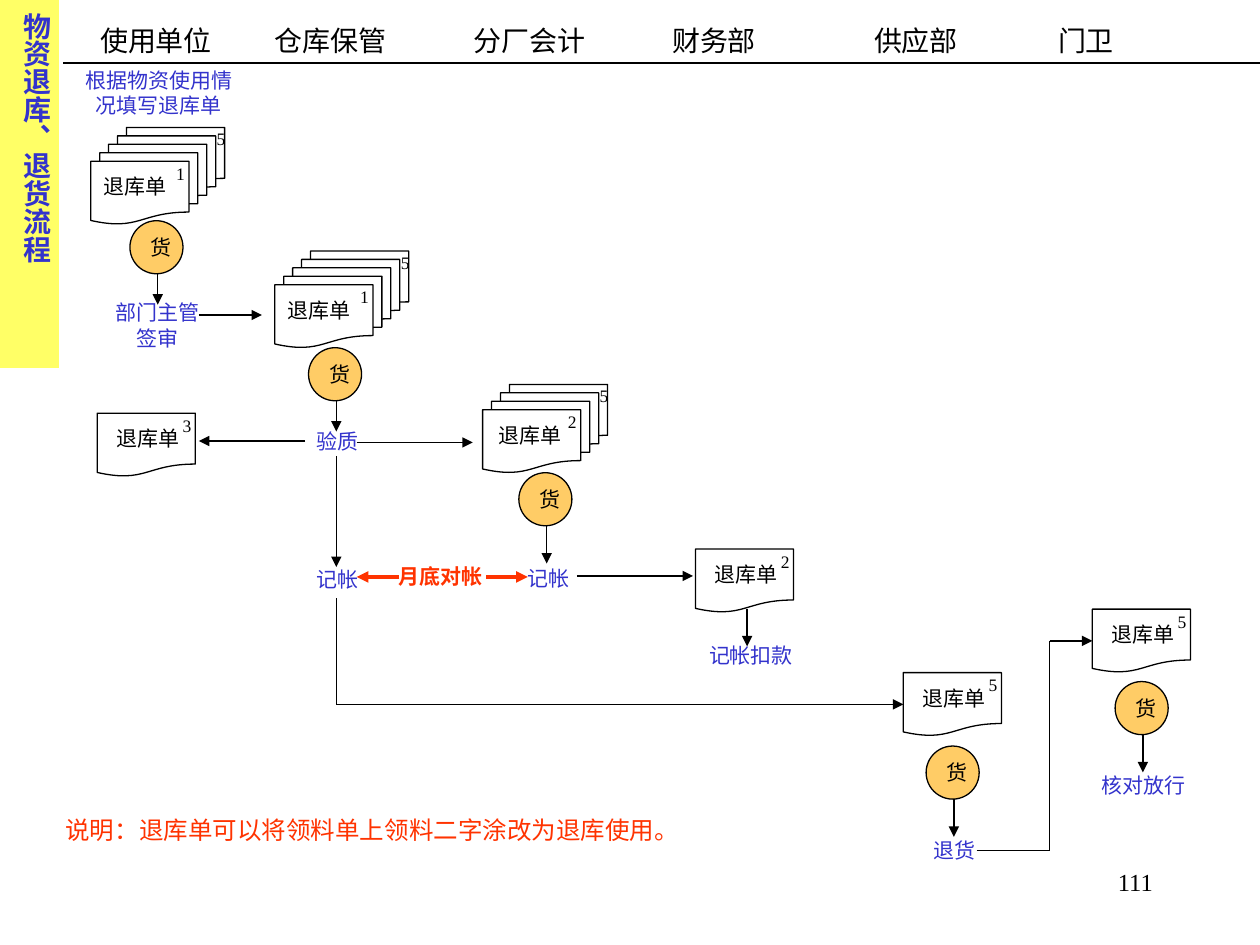
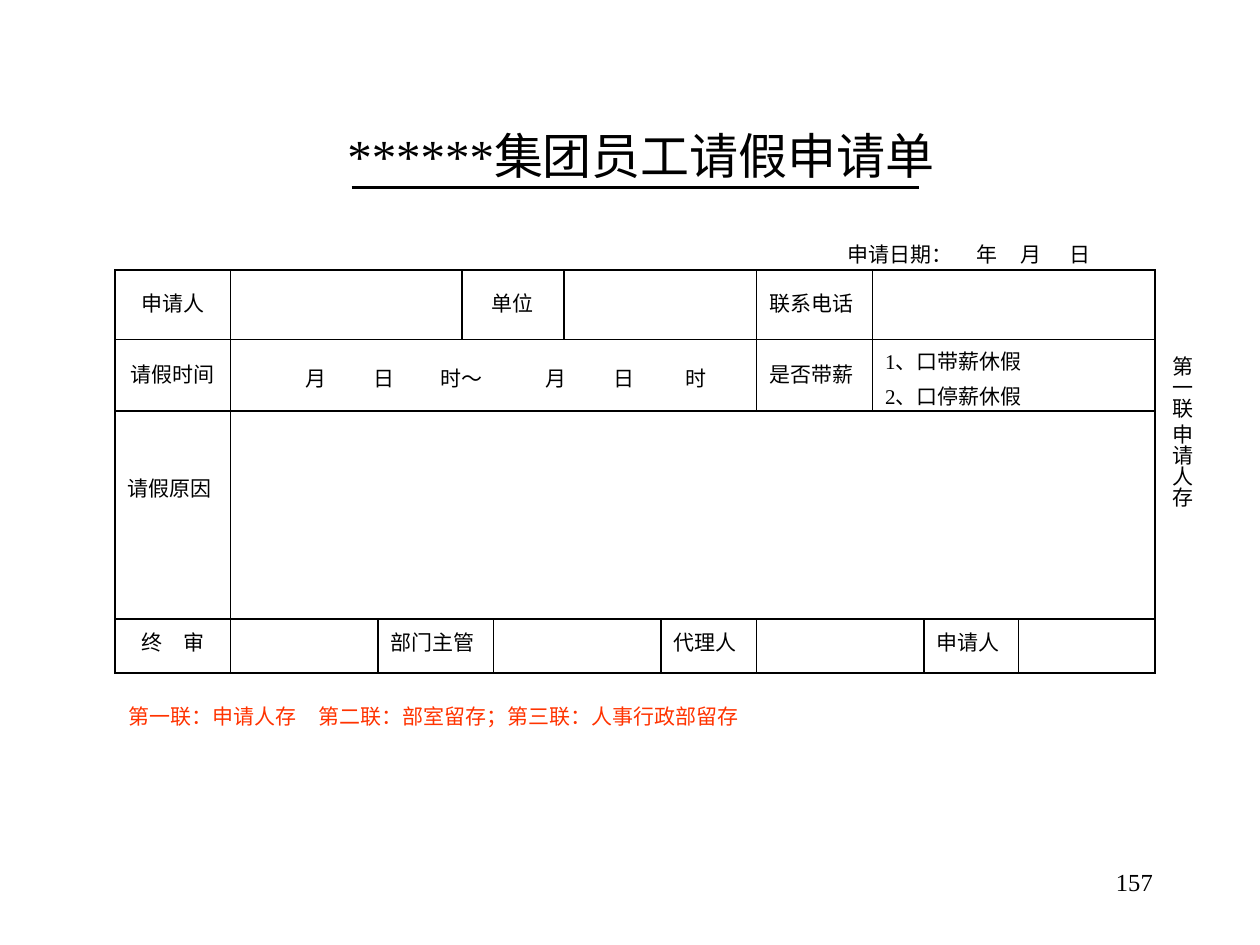
from dataclasses import dataclass
from itertools import pairwise
from typing import NamedTuple

from lxml.etree import SubElement
from pptx import Presentation
from pptx.dml.color import RGBColor
from pptx.enum.shapes import MSO_CONNECTOR, MSO_SHAPE
from pptx.enum.text import MSO_ANCHOR, PP_ALIGN
from pptx.oxml.ns import qn
from pptx.util import Cm, Pt


@dataclass(frozen=True)
class Theme:
    font: str = "Times New Roman"
    black: str = "000000"
    white: str = "FFFFFF"
    blue: str = "3333CC"
    red: str = "FF3300"
    yellow: str = "FFFF66"
    orange: str = "FFCC66"
    tiny: int = 10
    body: int = 12
    note: int = 14
    heading: int = 16
    title: int = 28
    thin: float = 0.75
    border: float = 1
    rule: float = 1.5
    thick: float = 2.25


T = Theme()
LEFT, CENTER, RIGHT = PP_ALIGN.LEFT, PP_ALIGN.CENTER, PP_ALIGN.RIGHT


class Form(NamedTuple):
    """A stack of return slips; x and y place the front one, in cm."""
    x: float
    y: float
    number: str
    copies: int = 1
    label_dx: float = 0.14


class Goods(NamedTuple):
    x: float
    y: float
    arrow: float = 0.76


class Step(NamedTuple):
    x: float
    y: float
    text: str
    width: float = 2.54


class Route(NamedTuple):
    """Straight segments through the points, ending at a form's left side if one is given."""
    points: tuple
    target: Form | None = None
    color: str = T.black
    weight: float = T.thin


class Entry(NamedTuple):
    """A cell of the leave form and the number of columns it covers."""
    text: str = ""
    span: int = 1
    align: PP_ALIGN = LEFT
    top: float | None = None
    tabs: tuple = ()


FORM_W, FORM_H = 1.98, 1.28
COPY_DX, COPY_DY = 0.18, 0.17
GOODS_D = 1.07

USER_SLIPS = Form(1.83, 3.25, "1", 5, 0)
STORE_SLIPS = Form(5.54, 5.74, "1", 5, 0)
BRANCH_SLIPS = Form(9.73, 8.26, "2", 4, 0.08)
USER_COPY = Form(1.96, 8.33, "3")
FINANCE_COPY = Form(14.02, 11.07, "2")
SUPPLY_COPY = Form(18.21, 13.56, "5")
GATE_COPY = Form(22.02, 12.28, "5")
FORMS = (USER_SLIPS, STORE_SLIPS, BRANCH_SLIPS, USER_COPY, FINANCE_COPY, SUPPLY_COPY, GATE_COPY)

GOODS = (
    Goods(2.62, 4.45, 0.62), Goods(6.22, 7.01, 0.62), Goods(10.46, 9.53),
    Goods(18.67, 15.04), Goods(22.48, 13.74),
)

STEPS = (
    Step(1.3, 1.24, "根据物资使用情况填写退库单", 3.81),
    Step(1.9, 5.92, "部门主管签审"),
    Step(5.54, 8.51, "验质"),
    Step(5.54, 11.3, "记帐"),
    Step(9.78, 11.28, "记帐"),
    Step(13.87, 12.83, "记帐扣款"),
    Step(17.98, 16.76, "退货"),
    Step(21.79, 15.44, "核对放行"),
)

ROUTES = (
    Route(((4.01, 6.35), (5.28, 6.35))),
    Route(((7.19, 8.92), (9.53, 8.92))),
    Route(((6.15, 8.89), (4.01, 8.89))),
    Route(((6.78, 9.19), (6.78, 11.43))),
    Route(((11.63, 11.61), (13.97, 11.61))),
    Route(((15.06, 12.27), (15.06, 13.03))),
    Route(((6.78, 12.06), (6.78, 14.2)), SUPPLY_COPY),
    Route(((19.69, 17.15), (21.16, 17.15), (21.16, 12.92)), GATE_COPY),
    Route(((9.8, 11.63), (10.64, 11.63)), color=T.red, weight=T.thick),
    Route(((8.05, 11.63), (7.19, 11.63)), color=T.red, weight=T.thick),
)

COLUMNS = (2.33, 2.97, 1.69, 0.64, 1.42, 1.95, 1.93, 2.34, 1.04, 1.9, 2.75)
ROW_HEIGHTS = (1.4, 1.45, 4.19, 1.09)
ROW_TOPS = (0.34, 0.39, 1.22, 0.15)
LEAVE_FORM = (
    (Entry("申请人", align=CENTER), Entry(span=2), Entry("单位", 2, CENTER), Entry(span=2),
     Entry("联系电话"), Entry(span=3)),
    (Entry("请假时间", align=CENTER),
     Entry("\t月\t日\t时～\t月\t日\t时", 6, top=0.47, tabs=(1.26, 2.63, 3.98, 6.1, 7.47, 8.92)),
     Entry("是否带薪"), Entry("1、口带薪休假\n2、口停薪休假", 3, top=0.12)),
    (Entry("请假原因"), Entry(span=10)),
    (Entry("终　审", align=CENTER), Entry(), Entry("部门主管", 2), Entry(span=2),
     Entry("代理人"), Entry(span=2), Entry("申请人"), Entry()),
)


def rgb(color: str) -> RGBColor:
    return RGBColor.from_string(color)


def write(tf, text: str, *, size: int = T.body, color: str = T.black, bold: bool = False,
          align: PP_ALIGN = LEFT, tabs: tuple = (), spacing: float | None = None,
          gap: float = 0, vertical: bool = False) -> None:
    """Fill a text frame, one paragraph a line; tabs are in cm, gap in points."""
    tf.word_wrap = True
    if vertical:
        tf._txBody.bodyPr.set("vert", "eaVert")
    for i, line in enumerate(text.split("\n")):
        p = tf.paragraphs[0] if i == 0 else tf.add_paragraph()
        if tabs:
            tab_list = SubElement(p._p.get_or_add_pPr(), qn("a:tabLst"))
            for pos in tabs:
                SubElement(tab_list, qn("a:tab"), pos=str(Cm(pos)), algn="l")
        p.alignment = align
        if spacing:
            p.line_spacing = spacing
        if i:
            p.space_before = Pt(gap)
        r = p.add_run()
        r.text = line
        r._r.get_or_add_rPr().set("lang", "zh-CN")
        r.font.name, r.font.size, r.font.bold = T.font, Pt(size), bold
        r.font.color.rgb = rgb(color)


def add_text(s, x: float, y: float, w: float, h: float, text: str, **style) -> None:
    write(s.shapes.add_textbox(Cm(x), Cm(y), Cm(w), Cm(h)).text_frame, text, **style)


def add_box(s, kind: MSO_SHAPE, x: float, y: float, w: float, h: float, fill: str,
            outlined: bool = True):
    sp = s.shapes.add_shape(kind, Cm(x), Cm(y), Cm(w), Cm(h))
    sp.shadow.inherit = False
    sp.fill.solid()
    sp.fill.fore_color.rgb = rgb(fill)
    if outlined:
        sp.line.color.rgb = rgb(T.black)
        sp.line.width = Pt(T.thin)
    else:
        sp.line.fill.background()
    return sp


def add_line(s, start: tuple, end: tuple, *, color: str = T.black, weight: float = T.thin,
             arrow: bool = False):
    c = s.shapes.add_connector(MSO_CONNECTOR.STRAIGHT, *map(Cm, (*start, *end)))
    c.line.color.rgb = rgb(color)
    c.line.width = Pt(weight)
    if arrow:
        SubElement(c.line._get_or_add_ln(), qn("a:tailEnd"), type="triangle")
    SubElement(c._element.spPr, qn("a:effectLst"))
    return c


def add_form(s, form: Form):
    """Draw the slips from back to front and return the front one."""
    for i in reversed(range(form.copies)):
        front = add_box(s, MSO_SHAPE.FLOWCHART_DOCUMENT, form.x + i * COPY_DX,
                        form.y - i * COPY_DY, FORM_W, FORM_H, T.white)
    add_text(s, form.x + form.label_dx, form.y + 0.13, 2.2, 0.76, "退库单")
    add_text(s, form.x + 1.47, form.y - 0.09, 0.64, 0.69, form.number, size=T.tiny)
    if form.copies > 1:
        last = form.copies - 1
        add_text(s, form.x + last * COPY_DX + 1.57, form.y - last * COPY_DY - 0.11,
                 0.64, 0.69, "5", size=T.tiny)
    return front


def add_goods(s, goods: Goods) -> None:
    add_box(s, MSO_SHAPE.OVAL, goods.x, goods.y, GOODS_D, GOODS_D, T.orange)
    add_text(s, goods.x + 0.17, goods.y + 0.15, 0.84, 0.76, "货", align=CENTER)
    x, bottom = goods.x + 0.56, goods.y + GOODS_D
    add_line(s, (x, bottom), (x, bottom + goods.arrow), arrow=True)


def add_route(s, route: Route, fronts: dict) -> None:
    points = list(route.points)
    if route.target:
        points.append((route.target.x, route.target.y + FORM_H / 2))
    segments = list(pairwise(points))
    for i, (start, end) in enumerate(segments, 1):
        c = add_line(s, start, end, color=route.color, weight=route.weight,
                     arrow=i == len(segments))
    if route.target:
        c.end_connect(fronts[route.target], 1)


def add_borders(cell) -> None:
    tc_pr = cell._tc.get_or_add_tcPr()
    for i, side in enumerate(("lnL", "lnR", "lnT", "lnB")):
        ln = SubElement(tc_pr, qn(f"a:{side}"), w=str(Pt(T.border)))
        SubElement(SubElement(ln, qn("a:solidFill")), qn("a:srgbClr"), val=T.black)
        tc_pr.insert(i, ln)


def add_leave_form(s, x: float, y: float) -> None:
    frame = s.shapes.add_table(len(ROW_HEIGHTS), len(COLUMNS), Cm(x), Cm(y),
                               Cm(sum(COLUMNS)), Cm(sum(ROW_HEIGHTS)))
    table = frame.table
    table.first_row = table.horz_banding = False
    for column, width in zip(table.columns, COLUMNS):
        column.width = Cm(width)
    for row, height in zip(table.rows, ROW_HEIGHTS):
        row.height = Cm(height)
    for cell in table.iter_cells():
        cell.fill.background()
        add_borders(cell)
    for i, entries in enumerate(LEAVE_FORM):
        col = 0
        for entry in entries:
            cell = table.cell(i, col)
            if entry.span > 1:
                cell.merge(table.cell(i, col + entry.span - 1))
            col += entry.span
            if entry.text:
                cell.vertical_anchor = MSO_ANCHOR.TOP
                cell.margin_top = Cm(ROW_TOPS[i] if entry.top is None else entry.top)
                cell.margin_bottom = 0
                write(cell.text_frame, entry.text, align=entry.align, tabs=entry.tabs, gap=2.5)


def add_slide(prs, number: str):
    s = prs.slides.add_slide(prs.slide_layouts[6])
    add_text(s, 18.21, 17.35, 5.28, 1.27, number, size=T.note, align=RIGHT)
    return s


def build_return_flow(prs) -> None:
    s = add_slide(prs, "111")
    add_line(s, (1.27, 1.27), (25.4, 1.27))
    add_text(s, 1.77, 0.53, 23, 0.74, "使用单位\t仓库保管\t分厂会计\t财务部\t供应部\t门卫",
             size=T.heading, spacing=0.7, tabs=(3.52, 7.53, 11.53, 15.6, 19.31))
    band = add_box(s, MSO_SHAPE.RECTANGLE, 0, 0, 1.19, 7.42, T.yellow, outlined=False)
    band.text_frame.vertical_anchor = MSO_ANCHOR.TOP
    write(band.text_frame, "物资退库、退货流程", size=T.heading, color=T.blue, bold=True,
          align=PP_ALIGN.JUSTIFY, vertical=True)
    fronts = {form: add_form(s, form) for form in FORMS}
    for goods in GOODS:
        add_goods(s, goods)
    for step in STEPS:
        add_text(s, step.x, step.y, step.width, 0.76, step.text, color=T.blue, align=CENTER)
    add_text(s, 7.72, 11.23, 2.34, 0.76, "月底对帐", color=T.red, bold=True, align=CENTER)
    for route in ROUTES:
        add_route(s, route, fronts)
    add_text(s, 1.07, 16.31, 13.2, 0.84, "说明：退库单可以将领料单上领料二字涂改为退库使用。",
             size=T.note, color=T.red)


def build_leave_request(prs) -> None:
    s = add_slide(prs, "157")
    add_text(s, 4.88, 2.41, 16.08, 1.45, "******集团员工请假申请单", size=T.title, align=CENTER)
    add_line(s, (7.09, 3.78), (18.52, 3.78), weight=T.rule)
    add_text(s, 16.84, 4.75, 6.6, 0.76, "申请日期：\t年\t月\t日", tabs=(2.6, 3.49, 4.48))
    add_leave_form(s, 2.32, 5.44)
    add_text(s, 23.19, 6.93, 1.02, 4.5, "第一联 申请人存", align=CENTER, vertical=True)
    add_text(s, 2.34, 14.05, 14.4, 0.76,
             "第一联：申请人存\t第二联：部室留存；第三联：人事行政部留存",
             color=T.red, tabs=(3.84,))


def main() -> None:
    prs = Presentation()
    prs.slide_width, prs.slide_height = Cm(25.4), Cm(19.05)
    build_return_flow(prs)
    build_leave_request(prs)
    prs.save("out.pptx")


if __name__ == "__main__":
    main()
